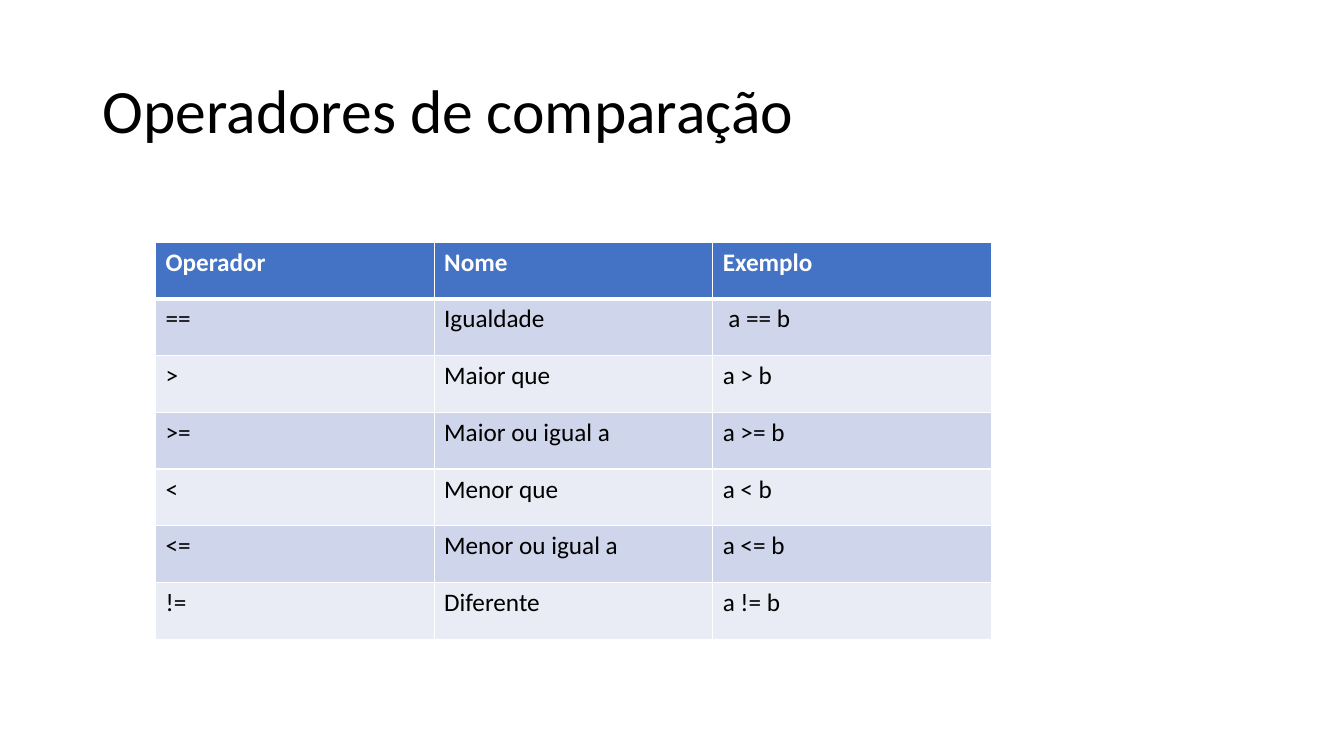
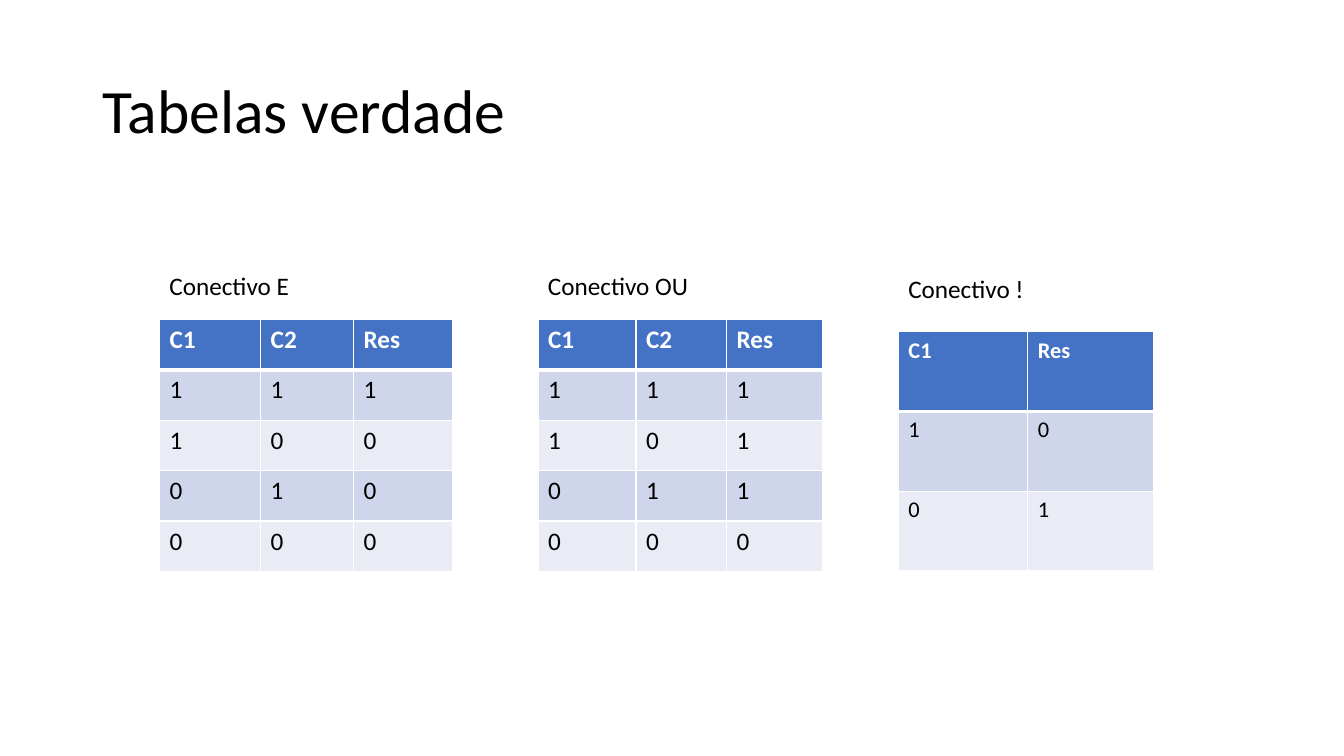
from itertools import product

from lxml import etree
from pptx import Presentation
from pptx.dml.color import RGBColor
from pptx.enum.text import MSO_ANCHOR, PP_ALIGN
from pptx.oxml.ns import qn
from pptx.util import Cm, Pt

LEFT, MIDDLE = PP_ALIGN.LEFT, MSO_ANCHOR.MIDDLE
TITLE_ONLY = 5

FONT = "Calibri"
BLACK, WHITE, HEADER = "000000", "FFFFFF", "4472C4"
BANDS = ("CFD5EA", "E9EBF5")
TITLE_BOX = (2.33, 1.02, 29.21, 3.68)

COMPARISONS = [
    ("Operador", "Nome", "Exemplo"),
    ("==", "Igualdade", " a == b"),
    (">", "Maior que", "a > b"),
    (">=", "Maior ou igual a", "a >= b"),
    ("<", "Menor que", "a < b"),
    ("<=", "Menor ou igual a", "a <= b"),
    ("!=", "Diferente", "a != b"),
]


def rgb(color):
    return RGBColor.from_string(color)


def write(tf, text, size, color=BLACK, bold=False):
    p = tf.paragraphs[0]
    p.alignment = LEFT
    r = p.add_run()
    r.text = text
    for name, value in dict(name=FONT, size=Pt(size), bold=bold).items():
        setattr(r.font, name, value)
    r.font.color.rgb = rgb(color)
    return p


def add_titled_slide(prs, title):
    s = prs.slides.add_slide(prs.slide_layouts[TITLE_ONLY])
    sp = s.shapes.title
    for name, value in zip(("left", "top", "width", "height"), TITLE_BOX):
        setattr(sp, name, Cm(value))
    sp.text_frame.vertical_anchor = MIDDLE
    write(sp.text_frame, title, 44).line_spacing = 0.9
    return s


def set_borders(cell, **widths):
    """Draw white cell borders; widths in points, by side (L, R, T, B)."""
    tc_pr = cell._tc.get_or_add_tcPr()
    for side, width in widths.items():
        ln = etree.SubElement(tc_pr, qn(f"a:ln{side}"), w=str(Pt(width)))
        fill = etree.SubElement(ln, qn("a:solidFill"))
        etree.SubElement(fill, qn("a:srgbClr"), val=WHITE)


def add_banded_table(s, left, top, col_widths, row_height, rows, size=18):
    frame = s.shapes.add_table(len(rows), len(col_widths), Cm(left), Cm(top),
                               Cm(sum(col_widths)), Cm(row_height * len(rows)))
    table = frame.table
    for column, width in zip(table.columns, col_widths):
        column.width = Cm(width)
    for i, values in enumerate(rows):
        table.rows[i].height = Cm(row_height)
        is_header = i == 0
        for j, value in enumerate(values):
            cell = table.cell(i, j)
            set_borders(cell, L=1, R=1, T=3 if i == 1 else 1,
                        B=3 if is_header else 1)
            cell.fill.solid()
            cell.fill.fore_color.rgb = rgb(HEADER if is_header else BANDS[(i - 1) % 2])
            write(cell.text_frame, str(value), size,
                  WHITE if is_header else BLACK, is_header)


def add_truth_table(s, left, top, label, label_width, label_height, **table):
    """Place a label directly above a truth table."""
    sp = s.shapes.add_textbox(Cm(left), Cm(top - label_height),
                              Cm(label_width), Cm(label_height))
    sp.text_frame.word_wrap = False
    write(sp.text_frame, label, 18)
    add_banded_table(s, left, top, **table)


def comparison_slide(prs):
    s = add_titled_slide(prs, "Operadores de comparação")
    add_banded_table(s, 3.92, 6.1, [7.02] * 3, 1.43, COMPARISONS)


def truth_table_slide(prs):
    s = add_titled_slide(prs, "Tabelas verdade")
    pairs = list(product((1, 0), repeat=2))
    header = ("C1", "C2", "Res")
    and_rows = [header] + [(a, b, a & b) for a, b in pairs]
    or_rows = [header] + [(a, b, a | b) for a, b in pairs]
    not_rows = [("C1", "Res")] + [(a, 1 - a) for a in (1, 0)]

    add_truth_table(s, 4.02, 8.05, "Conectivo E", 3.56, 1.37, rows=and_rows,
                    col_widths=(2.55, 2.34, 2.49), row_height=1.27)
    add_truth_table(s, 13.56, 8.05, "Conectivo OU", 4.09, 1.37, rows=or_rows,
                    col_widths=(2.47, 2.28, 2.42), row_height=1.27)
    add_truth_table(s, 22.64, 8.36, "Conectivo !", 3.45, 1.6, rows=not_rows,
                    col_widths=(3.26, 3.18), row_height=2.01, size=16)


def main():
    prs = Presentation()
    prs.slide_width, prs.slide_height = Cm(33.87), Cm(19.05)
    comparison_slide(prs)
    truth_table_slide(prs)
    prs.save("out.pptx")


if __name__ == "__main__":
    main()
